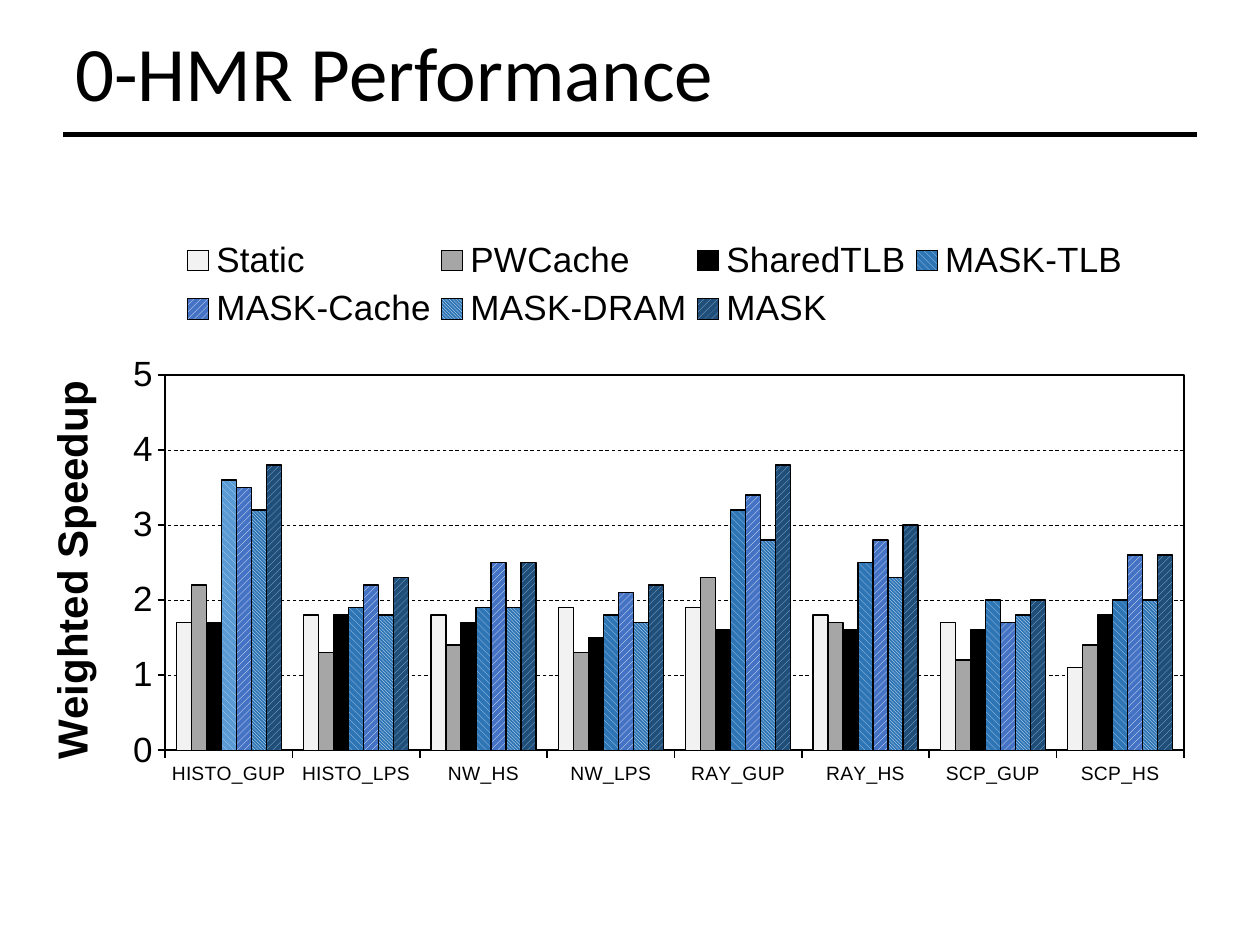
import dataclasses
import typing

import lxml.etree
import pptx
import pptx.chart.data
import pptx.dml.color
import pptx.enum.chart
import pptx.enum.dml
import pptx.enum.shapes
import pptx.enum.text
import pptx.oxml.ns
import pptx.oxml.xmlchemy
import pptx.util

Pt = pptx.util.Pt
qn = pptx.oxml.ns.qn
PATTERN = pptx.enum.dml.MSO_PATTERN_TYPE
BLACK = "000000"


@dataclasses.dataclass
class Paint:
    """A solid colour, or a pattern drawn with fore over back."""
    back: str
    fore: str = ""
    pattern: typing.Any = None


@dataclasses.dataclass
class Series:
    """One bar series with its fill and any differently filled points."""
    name: str
    values: tuple
    paint: Paint
    points: dict = dataclasses.field(default_factory=dict)


WIDE_DOWN = PATTERN.WIDE_DOWNWARD_DIAGONAL
WIDE_UP = PATTERN.WIDE_UPWARD_DIAGONAL
DARK_DOWN = PATTERN.DARK_DOWNWARD_DIAGONAL

WORKLOADS = ("HISTO_GUP", "HISTO_LPS", "NW_HS", "NW_LPS",
             "RAY_GUP", "RAY_HS", "SCP_GUP", "SCP_HS")
SERIES = (
    Series("Static", (1.7, 1.8, 1.8, 1.9, 1.9, 1.8, 1.7, 1.1), Paint("F2F2F2")),
    Series("PWCache", (2.2, 1.3, 1.4, 1.3, 2.3, 1.7, 1.2, 1.4), Paint("A6A6A6")),
    Series("SharedTLB", (1.7, 1.8, 1.7, 1.5, 1.6, 1.6, 1.6, 1.8), Paint(BLACK)),
    Series("MASK-TLB", (3.6, 1.9, 1.9, 1.8, 3.2, 2.5, 2, 2),
           Paint("2E75B6", "BDD7EE", WIDE_DOWN),
           {0: Paint("5B9BD5", "BDD7EE", WIDE_DOWN)}),
    Series("MASK-Cache", (3.5, 2.2, 2.5, 2.1, 3.4, 2.8, 1.7, 2.6),
           Paint("4472C4", "FFFFFF", WIDE_UP)),
    Series("MASK-DRAM", (3.2, 1.8, 1.9, 1.7, 2.8, 2.3, 1.8, 2),
           Paint("2E75B6", "FFFFFF", DARK_DOWN)),
    Series("MASK", (3.8, 2.3, 2.5, 2.2, 3.8, 3, 2, 2.6),
           Paint("1F4E79", "9DC3E6", WIDE_UP)),
)


def rgb(color: str) -> pptx.dml.color.RGBColor:
    """Turn a hex string into a colour."""
    return pptx.dml.color.RGBColor.from_string(color)


def set_font(font, size: float, name: str, bold: bool = False) -> None:
    """Set a black font."""
    font.size, font.name, font.bold = Pt(size), name, bold
    font.color.rgb = rgb(BLACK)


def set_line(line, width: float) -> None:
    """Set a solid black line."""
    line.color.rgb = rgb(BLACK)
    line.width = Pt(width)


def paint_bar(fmt, paint: Paint) -> None:
    """Fill and outline a series or a point."""
    if paint.pattern is None:
        fmt.fill.solid()
        fmt.fill.fore_color.rgb = rgb(paint.back)
    else:
        fmt.fill.patterned()
        fmt.fill.pattern = paint.pattern
        fmt.fill.fore_color.rgb = rgb(paint.fore)
        fmt.fill.back_color.rgb = rgb(paint.back)
    set_line(fmt.line, 0.75)


def set_layout(parent, index: int, box: tuple, inner: bool = False) -> None:
    """Place a chart part at fractions (x, y, w, h) of the chart."""
    for old in parent.findall(qn("c:layout")):
        parent.remove(old)
    layout = pptx.oxml.xmlchemy.OxmlElement("c:layout")
    manual = lxml.etree.SubElement(layout, qn("c:manualLayout"))
    settings = [("layoutTarget", "inner")] if inner else []
    settings += [("xMode", "edge"), ("yMode", "edge")]
    settings += zip("xywh", box)
    for tag, value in settings:
        lxml.etree.SubElement(manual, qn(f"c:{tag}")).set("val", str(value))
    parent.insert(index, layout)


def frame_plot(plot_area) -> None:
    """Outline the plot area in black without a fill."""
    sp_pr = lxml.etree.SubElement(plot_area, qn("c:spPr"))
    lxml.etree.SubElement(sp_pr, qn("a:noFill"))
    ln = lxml.etree.SubElement(sp_pr, qn("a:ln"), w=str(int(Pt(1))))
    fill = lxml.etree.SubElement(ln, qn("a:solidFill"))
    lxml.etree.SubElement(fill, qn("a:srgbClr"), val=BLACK)


def style_axis(axis, size: float) -> None:
    """Give an axis its line, outside ticks and label font."""
    axis.major_tick_mark = pptx.enum.chart.XL_TICK_MARK.OUTSIDE
    axis.minor_tick_mark = pptx.enum.chart.XL_TICK_MARK.NONE
    set_line(axis.format.line, 1)
    set_font(axis.tick_labels.font, size, "Arial")


def add_title(slide, text: str) -> None:
    """Add the slide title and the rule below it."""
    tf = slide.shapes.add_textbox(Pt(36), Pt(10), Pt(648), Pt(67)).text_frame
    tf.word_wrap = True
    tf.vertical_anchor = pptx.enum.text.MSO_ANCHOR.MIDDLE
    tf.text = text
    p = tf.paragraphs[0]
    p.line_spacing = 0.9
    set_font(p.runs[0].font, 44, "Calibri")
    rule = slide.shapes.add_connector(
        pptx.enum.shapes.MSO_CONNECTOR.STRAIGHT, Pt(36), Pt(77), Pt(684), Pt(77))
    set_line(rule.line, 3)
    lxml.etree.SubElement(rule._element.spPr, qn("a:effectLst"))


def add_speedup_chart(slide) -> None:
    """Add the clustered column chart of weighted speedup."""
    data = pptx.chart.data.CategoryChartData()
    data.categories = WORKLOADS
    for s in SERIES:
        data.add_series(s.name, s.values)
    chart = slide.shapes.add_chart(
        pptx.enum.chart.XL_CHART_TYPE.COLUMN_CLUSTERED,
        Pt(20.16), Pt(121), Pt(674.64), Pt(379.44), data).chart
    set_font(chart.font, 10, "Calibri")
    chart.has_title = False

    plot = chart.plots[0]
    plot.gap_width, plot.overlap, plot.vary_by_categories = 150, 0, False
    for bars, s in zip(plot.series, SERIES):
        paint_bar(bars.format, s.paint)
        for i, paint in s.points.items():
            paint_bar(bars.points[i].format, paint)

    style_axis(chart.category_axis, 11)
    axis = chart.value_axis
    style_axis(axis, 20)
    axis.minimum_scale, axis.maximum_scale, axis.major_unit = 0, 5, 1
    axis.has_major_gridlines = True
    set_line(axis.major_gridlines.format.line, 0.5)
    axis.major_gridlines.format.line.dash_style = pptx.enum.dml.MSO_LINE.DASH
    tf = axis.axis_title.text_frame
    tf.text = "Weighted Speedup"
    tf._txBody.bodyPr.set("rot", "-5400000")
    set_font(tf.paragraphs[0].runs[0].font, 24, "Arial", bold=True)

    chart.has_legend = True
    legend = chart.legend
    legend.position = pptx.enum.chart.XL_LEGEND_POSITION.RIGHT
    legend.include_in_layout = False
    set_font(legend.font, 20, "Arial")
    set_layout(legend._element, 1, (0.12, 0.03, 0.81, 0.16))
    plot_area = chart._chartSpace.find(".//" + qn("c:plotArea"))
    set_layout(plot_area, 0, (0.11, 0.246, 0.863, 0.565), inner=True)
    frame_plot(plot_area)


prs = pptx.Presentation()
prs.slide_width, prs.slide_height = Pt(720), Pt(540)
slide = prs.slides.add_slide(prs.slide_layouts[6])
add_speedup_chart(slide)
add_title(slide, "0-HMR Performance")
prs.save("out.pptx")
